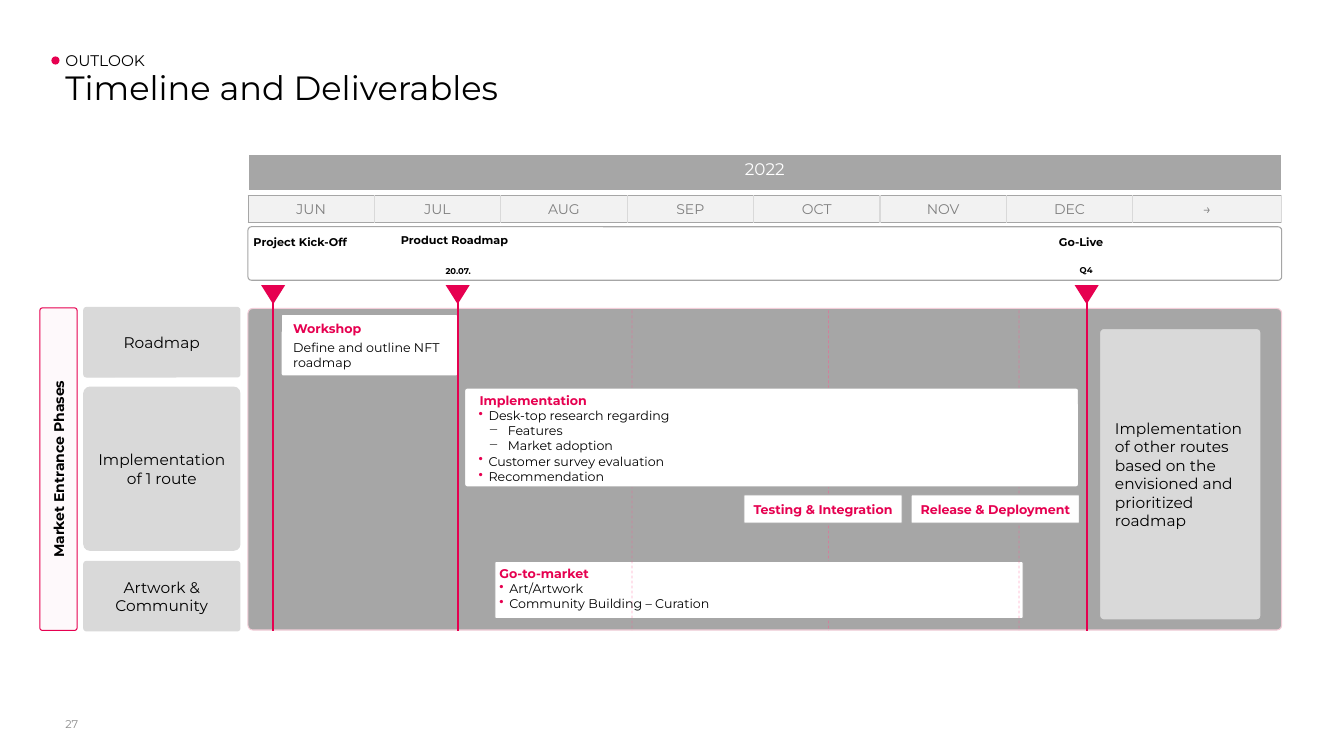
import pptx
import pptx.util
import pptx.dml.color
import pptx.enum.shapes
import pptx.enum.text
import pptx.enum.dml
import pptx.oxml.ns
import lxml.etree

Pt = pptx.util.Pt
RGB = pptx.dml.color.RGBColor
Kind = pptx.enum.shapes.MSO_SHAPE
Align = pptx.enum.text.PP_ALIGN
Anchor = pptx.enum.text.MSO_ANCHOR
qn = pptx.oxml.ns.qn

FONT = "Montserrat"
RED = RGB(0xE6, 0x00, 0x50)
ROSE = RGB(0xFF, 0x57, 0x91)
PINK = RGB(0xF2, 0xCD, 0xD8)
BLUSH = RGB(0xFE, 0xF9, 0xFB)
BLACK = RGB(0, 0, 0)
WHITE = RGB(0xFF, 0xFF, 0xFF)
PALE = RGB(0xF2, 0xF2, 0xF2)
LIGHT = RGB(0xD9, 0xD9, 0xD9)
GRAY = RGB(0xA6, 0xA6, 0xA6)
MID = RGB(0x8C, 0x8C, 0x8C)
DARK = RGB(0x80, 0x80, 0x80)

# Text styles: font values, then left margin, indent, bullet and its colour
HEAD = dict(size=9, bold=True, color=RED)
BODY = dict(size=9, color=BLACK)
LABEL = dict(size=11, color=BLACK)
EVENT = dict(size=8, bold=True, color=BLACK)
DATE = dict(size=6, bold=True, color=BLACK)
DOT = dict(BODY, left=7.2, hang=-7.2, mark="•", tint=RED)
DEEP = dict(DOT, left=13.7)
DASH = dict(BODY, left=27.4, hang=-13.7, mark="−")

# Content
MONTHS = ["JUN", "JUL", "AUG", "SEP", "OCT", "NOV", "DEC", "→"]
HEADER = [
    ((39.6, 496.8, 216, 28.8), "27", dict(size=8, color=MID), Anchor.BOTTOM),
    ((39.6, 34.6, 887, 17.3), "OUTLOOK", LABEL, Anchor.MIDDLE),
    ((39.6, 47.5, 887, 54.7), "Timeline and Deliverables",
     dict(size=24, color=BLACK, pitch=0.9), Anchor.TOP),
]
PHASES = [  # top, height, text
    (219.6, 49.7, "Roadmap"),
    (276.5, 116.6, "Implementation of 1 route"),
    (401, 49.7, "Artwork & Community"),
]
EVENTS = [  # place, text, style
    ((148.3, 164.9, 132.5, 24.5), "Project Kick-Off", EVENT),
    ((252, 163.4, 145.4, 24.5), "Product Roadmap", EVENT),
    ((304.6, 186.5, 45.4, 13), "20.07.", DATE),
    ((738, 164.2, 68.4, 19.4), "Go-Live", EVENT),
    ((741.6, 185.8, 68.4, 13.7), "Q4", DATE),
]
MARKS = [195.1, 326.9, 776.2]
BACK = [591.8]
FRONT = [451.4, 727.9]
SHOP = [("Workshop", dict(HEAD, after=3)),
        ("Define and outline NFT roadmap", dict(BODY, after=3))]
MARKET = [("Go-to-market", HEAD), ("Art/Artwork", DOT),
          ("Community Building – Curation", DOT)]
BUILD = [
    ("Implementation", dict(HEAD, left=7.2)),
    ("Desk-top research regarding", DEEP),
    ("Features", DASH),
    ("Market adoption", DASH),
    ("Customer survey evaluation", DEEP),
    ("Recommendation", DEEP),
]
STEPS = [((531.4, 353.5, 113, 20.2), "Testing & Integration"),
         ((650.9, 353.5, 120.2, 20.2), "Release & Deployment")]
OTHER = ("Implementation of other routes based on the envisioned "
         "and prioritized roadmap")

# Frame shared by the bands
LEFT, WIDE = 177.1, 738.4
TOP, LOW = 220.3, 450.4
MONTH = 90.3

deck = pptx.Presentation()
deck.slide_width, deck.slide_height = Pt(960), Pt(540)
slide = deck.slides.add_slide(deck.slide_layouts[6])


def write(frame, paras, align=Align.LEFT):
    for i, (text, style) in enumerate(paras):
        para = frame.paragraphs[0] if i == 0 else frame.add_paragraph()
        props = para._p.get_or_add_pPr()
        props.set("marL", str(Pt(style.get("left", 0))))
        props.set("indent", str(Pt(style.get("hang", 0))))
        if "tint" in style:
            tint = lxml.etree.SubElement(props, qn("a:buClr"))
            lxml.etree.SubElement(tint, qn("a:srgbClr"), val=str(style["tint"]))
        if "mark" in style:
            lxml.etree.SubElement(props, qn("a:buChar"), char=style["mark"])
        form = dict(alignment=align, space_before=Pt(0),
                    space_after=Pt(style.get("after", 0)),
                    line_spacing=style.get("pitch", 1.0))
        for key, val in form.items():
            setattr(para, key, val)
        run = para.add_run()
        run.text = text
        look = dict(name=FONT, size=Pt(style["size"]),
                    bold=style.get("bold", False))
        for key, val in look.items():
            setattr(run.font, key, val)
        run.font.color.rgb = style["color"]


def fit(frame, inset, anchor):
    form = dict(zip(("margin_left", "margin_top", "margin_right",
                     "margin_bottom"), map(Pt, inset)))
    form.update(word_wrap=True, vertical_anchor=anchor)
    for key, val in form.items():
        setattr(frame, key, val)


def note(at, paras, align=Align.LEFT, anchor=Anchor.TOP,
         inset=(7.2, 3.6, 7.2, 3.6)):
    box = slide.shapes.add_textbox(*map(Pt, at))
    fit(box.text_frame, inset, anchor)
    write(box.text_frame, paras, align)


def draw(at, fill, line=None, kind=Kind.ROUNDED_RECTANGLE, adj=0.025, turn=0,
         paras=(), align=Align.LEFT, anchor=Anchor.MIDDLE, side=2.9):
    shape = slide.shapes.add_shape(kind, *map(Pt, at))
    shape.shadow.inherit = False
    shape.rotation = turn
    if kind == Kind.ROUNDED_RECTANGLE:
        shape.adjustments[0] = adj
    if fill is None:
        shape.fill.background()
    else:
        shape.fill.solid()
        shape.fill.fore_color.rgb = fill
    if line is None:
        shape.line.fill.background()
    else:
        shape.line.color.rgb = line
        shape.line.width = Pt(0.75)
    if paras:
        fit(shape.text_frame, (side, 2.9, side, 2.9), anchor)
        write(shape.text_frame, paras, align)


def rule(x, top, low, color, width, dash=False):
    line = slide.shapes.add_connector(
        pptx.enum.shapes.MSO_CONNECTOR.STRAIGHT, Pt(x), Pt(top), Pt(x), Pt(low))
    line.line.color.rgb = color
    line.line.width = Pt(width)
    if dash:
        line.line.dash_style = pptx.enum.dml.MSO_LINE.DASH
        tone = line._element.spPr.find(".//" + qn("a:srgbClr"))
        lxml.etree.SubElement(tone, qn("a:alpha"), val="50000")
    lxml.etree.SubElement(line._element.spPr, qn("a:effectLst"))


def band(top, high, cols, texts, fill, style, anchor):
    table = slide.shapes.add_table(1, len(cols), Pt(LEFT), Pt(top),
                                   Pt(sum(cols)), Pt(high)).table
    table.first_row = table.horz_banding = False
    table.rows[0].height = Pt(high)
    for i, (wide, text) in enumerate(zip(cols, texts)):
        table.columns[i].width = Pt(wide)
        cell = table.cell(0, i)
        cell.vertical_anchor = anchor
        write(cell.text_frame, [(text, style)], Align.CENTER)
        cell.fill.solid()
        cell.fill.fore_color.rgb = fill
    return table


def edge(cell, first):
    props = cell._tc.get_or_add_tcPr()
    start = (GRAY, 0.5) if first else (LIGHT, 1)
    sides = dict(lnL=start, lnR=(LIGHT, 1), lnT=(GRAY, 0.5), lnB=(GRAY, 0.5))
    for i, (tag, (color, width)) in enumerate(sides.items()):
        line = lxml.etree.Element(qn("a:" + tag), w=str(Pt(width)))
        paint = lxml.etree.SubElement(line, qn("a:solidFill"))
        lxml.etree.SubElement(paint, qn("a:srgbClr"), val=str(color))
        props.insert(i, line)


# Heading and page number
draw((36.7, 40.3, 5.8, 5.8), RED, kind=Kind.OVAL)
for at, text, style, anchor in HEADER:
    note(at, [(text, style)], anchor=anchor)

# Calendar
draw((LEFT, 162, WIDE, 38.2), None, GRAY, adj=0.065)
cols = [MONTH] * 7 + [WIDE - 7 * MONTH]
months = band(139.7, 19.4, cols, MONTHS, PALE, dict(size=10, color=DARK),
              Anchor.MIDDLE)
for i in range(len(MONTHS)):
    edge(months.cell(0, i), i == 0)
band(110.2, 25.9, [WIDE], ["2022"], GRAY, dict(size=12, color=WHITE), Anchor.TOP)

# Phases and plan area
draw((LEFT, TOP, WIDE, 229.7), GRAY, PINK, adj=0.015)
for top, high, text in PHASES:
    draw((59.8, top, 111.6, high), LIGHT, LIGHT, adj=0.04,
         paras=[(text, LABEL)], align=Align.CENTER, side=5.8)
draw((-73.4, 321.8, 230.4, 26.6), BLUSH, RED, adj=0.069, turn=270,
     paras=[("Market Entrance Phases", dict(size=10, bold=True, color=BLACK))],
     align=Align.CENTER, side=7.2)

# Work packages and month lines
for x in BACK:
    rule(x, 221.8, LOW, ROSE, 0.5, True)
draw((200.9, 224.6, 126, 43.9), WHITE, GRAY)
note((206.6, 225.4, 120.2, 43.2), SHOP, inset=(2.9, 3.6, 7.2, 3.6))
draw((353.5, 401, 377.3, 41), WHITE, GRAY, paras=MARKET, anchor=Anchor.TOP)
for x in FRONT:
    rule(x, 221.8, LOW, ROSE, 0.5, True)

# Milestones
for x in MARKS:
    rule(x, 215.6, LOW, RED, 1.5)
    draw((x - 8.6, 203.6, 17.2, 13.7), RED, kind=Kind.ISOSCELES_TRIANGLE, turn=180)
for at, text, style in EVENTS:
    note(at, [(text, style)], Align.CENTER)

# Later work packages
draw((331.9, 277.2, 438.5, 70.6), WHITE, GRAY, paras=BUILD, anchor=Anchor.TOP)
for at, text in STEPS:
    draw(at, WHITE, GRAY, paras=[(text, HEAD)], align=Align.CENTER)
draw((785.5, 234.7, 115.2, 208.1), LIGHT, GRAY,
     paras=[(OTHER, dict(LABEL, left=7.2))])

deck.save("out.pptx")
